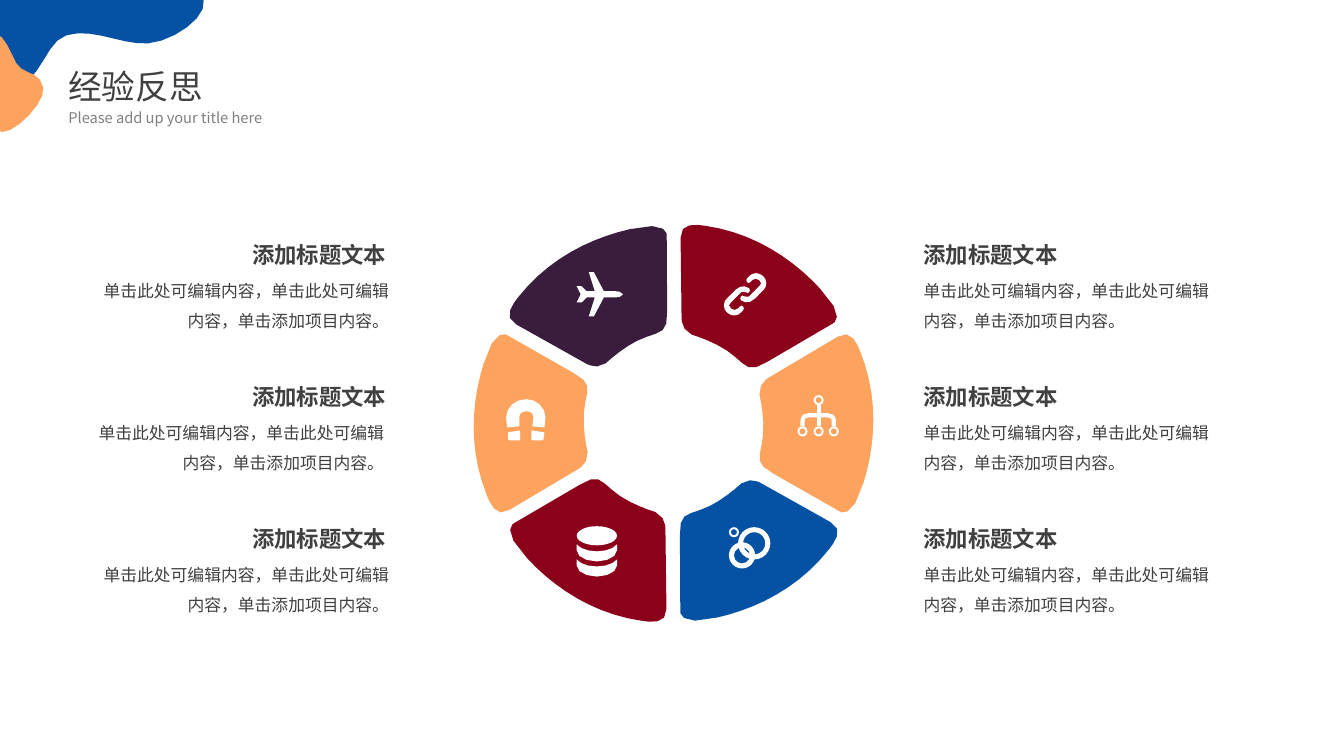
from math import cos, dist, radians, sin

from lxml import etree
from pptx import Presentation
from pptx.dml.color import RGBColor
from pptx.enum.shapes import MSO_SHAPE
from pptx.enum.text import MSO_AUTO_SIZE, PP_ALIGN
from pptx.oxml.ns import qn
from pptx.util import Inches, Pt

LEFT, RIGHT = PP_ALIGN.LEFT, PP_ALIGN.RIGHT
OVAL, DONUT = MSO_SHAPE.OVAL, MSO_SHAPE.DONUT
FONT = "Noto Sans CJK SC"
WHITE, DARK, GRAY = "FFFFFF", "404040", "808080"
BLUE, ORANGE, RED, PURPLE = "0552A5", "FDA35D", "8C011A", "3A1D3D"

SLIDE_W, SLIDE_H = 13.33, 7.5
WHEEL_CENTER = (6.68, 4.2)
WHEEL_COLORS = [RED, ORANGE, BLUE, RED, ORANGE, PURPLE]  # clockwise from the top
FIRST_ROW, ROW_PITCH = 2.39, 1.41
HEADING = "添加标题文本"
BODY = "单击此处可编辑内容，单击此处可编辑内容，单击添加项目内容。"

# An outline lists its steps: 2 numbers are a straight line to a point,
# 6 numbers are a Bezier curve (two controls and an end point).
WEDGE = [  # measured from the wheel's centre
    (0.93, -0.61), (1.58, -0.99), (1.58, -0.99, 1.73, -1.05, 1.45, -1.34),
    (1.18, -1.63, 0.8, -1.89, 0.31, -1.96), (0.24, -1.97, 0.06, -2, 0.07, -1.84),
    (0.08, -1.04), (0.08, -1.04, 0.08, -0.92, 0.18, -0.88),
    (0.28, -0.85, 0.49, -0.77, 0.61, -0.66), (0.73, -0.56, 0.75, -0.5, 0.93, -0.61)]
BLUE_WAVE = [
    (0, 0), (2.02, 0), (2.06, 0.17, 1.72, 0.41, 1.47, 0.43),
    (1.21, 0.45, 0.92, 0.27, 0.66, 0.35), (0.42, 0.42, 0.42, 0.9, 0, 0.91)]
ORANGE_WAVE = [
    (0, 0.36), (0.01, 0.36), (0.1, 0.45, 0.14, 0.64, 0.21, 0.68),
    (0.3, 0.74, 0.4, 0.73, 0.43, 0.87), (0.46, 1, 0.16, 1.32, 0.02, 1.31), (0, 1.3)]
PLANE = [
    (5.84, 3.14), (5.89, 3.14), (5.99, 2.95), (6.11, 2.95),
    (6.11, 2.95, 6.18, 2.95, 6.18, 2.92), (6.18, 2.89, 6.11, 2.89, 6.11, 2.89),
    (5.99, 2.89), (5.89, 2.7), (5.84, 2.7), (5.9, 2.89), (5.82, 2.89), (5.77, 2.84),
    (5.72, 2.84), (5.76, 2.92), (5.72, 3), (5.77, 3), (5.82, 2.95), (5.9, 2.95)]
LINK_CENTER = (7.39, 2.92)
HALF_LINK = [  # measured from the link's centre
    (-0.05, 0.12), (-0.07, 0.14), (-0.09, 0.16, -0.12, 0.16, -0.14, 0.14),
    (-0.16, 0.11), (-0.14, 0.08), (-0.06, 0), (-0.05, -0.02, -0.02, -0.04, 0.01, -0.02),
    (0.02, -0.01, 0.03, -0.01, 0.04, -0.02), (0.05, -0.03, 0.05, -0.05, 0.04, -0.06),
    (0, -0.09, -0.05, -0.09, -0.1, -0.04), (-0.18, 0.04),
    (-0.2, 0.06, -0.21, 0.08, -0.21, 0.11), (-0.21, 0.14, -0.2, 0.16, -0.18, 0.18),
    (-0.16, 0.2, -0.13, 0.21, -0.11, 0.21), (-0.08, 0.21, -0.06, 0.2, -0.04, 0.18),
    (-0.02, 0.16), (-0.01, 0.15, -0.01, 0.13, -0.02, 0.12),
    (-0.03, 0.11, -0.04, 0.11, -0.05, 0.12)]
DISK_BAND = [  # measured from the band's top left corner
    (0.4, 0), (0.37, 0.04, 0.29, 0.07, 0.2, 0.07), (0.11, 0.07, 0.03, 0.04, 0, 0),
    (0, 0.06), (0, 0.12, 0.09, 0.17, 0.2, 0.17), (0.31, 0.17, 0.4, 0.12, 0.4, 0.06)]
MAGNET = [
    [(5.27, 4.36), (5.28, 4.37), (5.38, 4.37), (5.39, 4.36), (5.4, 4.29), (5.27, 4.27)],
    [(5.04, 4.29), (5.04, 4.36), (5.06, 4.37), (5.15, 4.37), (5.16, 4.36), (5.16, 4.27)],
    [(5.02, 4.16), (5.03, 4.24), (5.15, 4.23), (5.15, 4.14),
     (5.15, 4.1, 5.18, 4.08, 5.22, 4.08), (5.26, 4.08, 5.29, 4.1, 5.29, 4.14),
     (5.28, 4.23), (5.4, 4.24), (5.41, 4.14), (5.41, 4.04, 5.32, 3.96, 5.22, 3.96),
     (5.11, 3.96, 5.02, 4.04, 5.02, 4.14)]]
TREE_STEM = [(8.12, 4.02), (8.12, 4.23)]
TREE_BRANCHES = [(7.96, 4.23), (7.96, 4.18), (7.96, 4.16, 7.96, 4.12, 8.02, 4.12),
                 (8.21, 4.12), (8.27, 4.12, 8.27, 4.16, 8.27, 4.18), (8.27, 4.23)]
TREE_NODES = [(8.12, 3.97), (7.96, 4.28), (8.12, 4.28), (8.27, 4.28)]
BUBBLES = [(7.48, 5.39, 0.16, 0.11), (7.36, 5.51, 0.13, 0.08), (7.28, 5.28, 0.05, 0.03)]


def color(hex_code):
    return RGBColor.from_string(hex_code)


def paint(shape, fill):
    shape.shadow.inherit = False
    shape.fill.solid()
    shape.fill.fore_color.rgb = color(fill)
    shape.line.fill.background()


def flatten(outline):
    """Turn an outline into points, dividing long curves into more steps than short ones."""
    points = [outline[0]]
    for step in outline[1:]:
        if len(step) == 2:
            points.append(step)
            continue
        controls = [points[-1], step[:2], step[2:4], step[4:]]
        count = 2 + round(6 * dist(controls[0], controls[3]))
        for i in range(1, count + 1):
            t = i / count
            weights = ((1 - t) ** 3, 3 * t * (1 - t) ** 2, 3 * t * t * (1 - t), t ** 3)
            points.append(tuple(sum(w * c[axis] for w, c in zip(weights, controls))
                                for axis in (0, 1)))
    return points


def place(outline, origin, degrees=0):
    """Flatten an outline, turn it clockwise about its zero point and move it to origin."""
    c, s = cos(radians(degrees)), sin(radians(degrees))
    return [(origin[0] + x * c - y * s, origin[1] + x * s + y * c)
            for x, y in flatten(outline)]


def add_outline(slide, contours, close=True):
    builder = None
    for points in contours:
        corners = [(Inches(x), Inches(y)) for x, y in points]
        if builder is None:
            builder = slide.shapes.build_freeform(*corners[0])
        else:
            builder.move_to(*corners[0])
        builder.add_line_segments(corners[1:], close=close)
    return builder.convert_to_shape()


def add_area(slide, contours, fill):
    paint(add_outline(slide, contours), fill)


def add_stroke(slide, outline, width):
    stroke = add_outline(slide, [flatten(outline)], close=False)
    stroke.shadow.inherit = False
    stroke.fill.background()
    stroke.line.color.rgb = color(WHITE)
    stroke.line.width = Pt(width)


def add_ring(slide, x, y, radius, hole):
    ring = slide.shapes.add_shape(DONUT, Inches(x - radius), Inches(y - radius),
                                  Inches(2 * radius), Inches(2 * radius))
    ring.adjustments[0] = (radius - hole) / (2 * radius)
    paint(ring, WHITE)


def add_text(slide, box, text, size, fill=DARK, bold=False, align=LEFT, spacing=None,
             inset=True):
    textbox = slide.shapes.add_textbox(*(Inches(length) for length in box))
    frame = textbox.text_frame
    frame.word_wrap = True
    frame.auto_size = MSO_AUTO_SIZE.SHAPE_TO_FIT_TEXT
    if not inset:
        frame.margin_left = frame.margin_right = frame.margin_top = frame.margin_bottom = 0
    paragraph = frame.paragraphs[0]
    paragraph.alignment = align
    if spacing:
        paragraph.line_spacing = spacing
    run = paragraph.add_run()
    run.text = text
    run.font.size, run.font.bold, run.font.name = Pt(size), bold, FONT
    run.font.color.rgb = color(fill)
    etree.SubElement(run.font._element, qn("a:ea")).set("typeface", FONT)


def add_wheel(slide):
    for i, fill in enumerate(WHEEL_COLORS):
        add_area(slide, [place(WEDGE, WHEEL_CENTER, 60 * i)], fill)


def add_icons(slide):
    add_area(slide, [flatten(PLANE)], WHITE)
    add_area(slide, [place(HALF_LINK, LINK_CENTER, turn) for turn in (0, 180)], WHITE)
    add_area(slide, [place(DISK_BAND, (5.72, top)) for top in (5.4, 5.55)], WHITE)
    disk_top = slide.shapes.add_shape(OVAL, Inches(5.72), Inches(5.22),
                                      Inches(0.4), Inches(0.19))
    paint(disk_top, WHITE)
    add_area(slide, [flatten(part) for part in MAGNET], WHITE)
    for branch in (TREE_STEM, TREE_BRANCHES):
        add_stroke(slide, branch, 3)
    for x, y in TREE_NODES:
        add_ring(slide, x, y, 0.05, 0.03)
    for bubble in BUBBLES:
        add_ring(slide, *bubble)


def add_captions(slide):
    for heading_x, body_x, align in ((9.16, 9.16, LEFT), (1.84, 0.89, RIGHT)):
        for row, body_width in enumerate((2.97, 2.92, 2.97)):
            top = FIRST_ROW + row * ROW_PITCH
            add_text(slide, (heading_x, top, 1.99, 0.27), HEADING, 16, bold=True,
                     align=align, inset=False)
            add_text(slide, (body_x, top + 0.29, body_width, 0.61), BODY, 12,
                     align=align, spacing=1.5, inset=False)


def main():
    deck = Presentation()
    deck.slide_width, deck.slide_height = Inches(SLIDE_W), Inches(SLIDE_H)
    slide = deck.slides.add_slide(deck.slide_layouts[6])
    add_wheel(slide)
    add_icons(slide)
    add_captions(slide)
    add_text(slide, (0.58, 0.6, 2.49, 0.5), "经验反思", 24)
    add_text(slide, (0.58, 1, 2.28, 0.31), "Please add up your title here", 10.5,
             fill=GRAY, spacing=1.2)
    add_area(slide, [flatten(BLUE_WAVE)], BLUE)
    add_area(slide, [flatten(ORANGE_WAVE)], ORANGE)
    deck.save("out.pptx")


if __name__ == "__main__":
    main()
